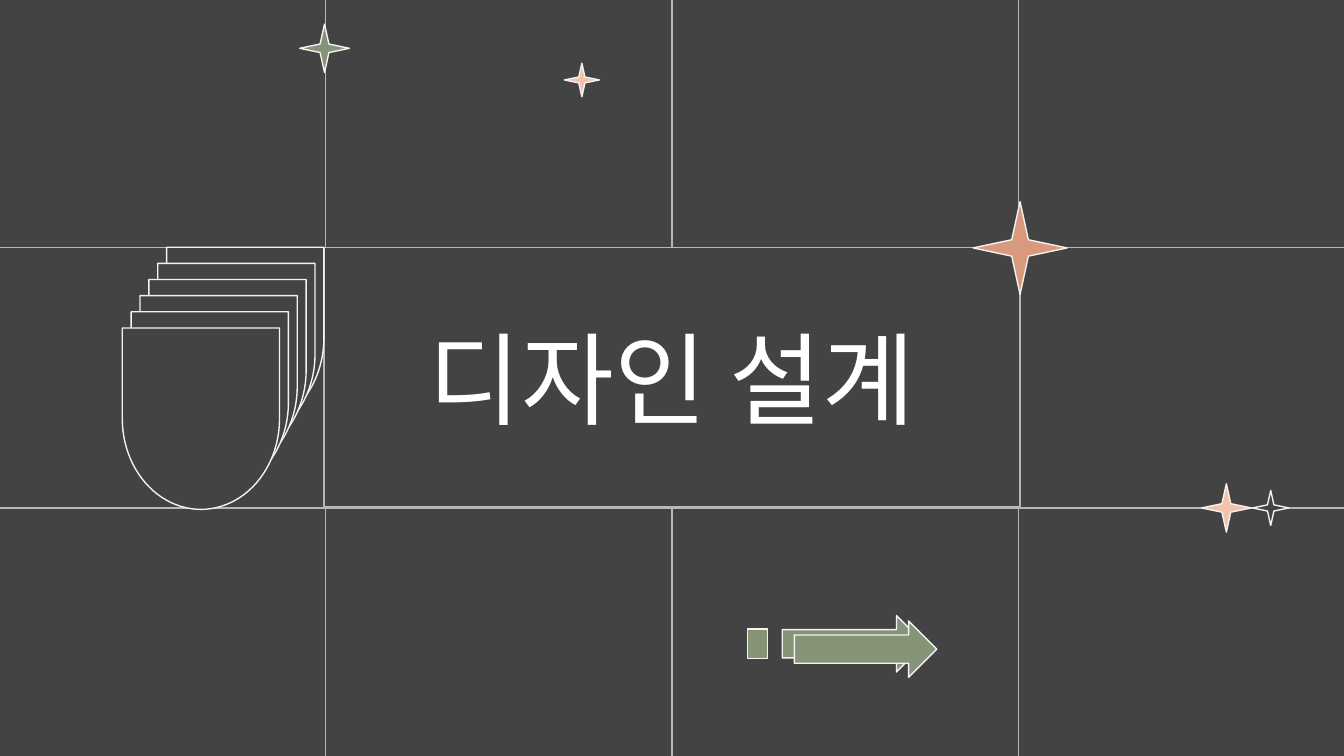
from lxml.etree import SubElement
from pptx import Presentation
from pptx.dml.color import RGBColor
from pptx.enum.shapes import MSO_CONNECTOR, MSO_SHAPE
from pptx.enum.text import MSO_ANCHOR, PP_ALIGN
from pptx.oxml.ns import qn
from pptx.util import Inches, Pt

COLORS = {
    "dark": "434343",
    "grid": "B7B7B7",
    "outline": "F3F3F3",
    "white": "FFFFFF",
    "green": "859477",
    "peach": "F2C2AB",
    "terracotta": "D9997D",
}
FONT = "Noto Sans CJK KR"


class SlideBuilder:
    """Holds the style and the current slide, and draws its elements."""

    def __init__(self, slide):
        self.slide = slide
        self.line_width = Pt(0.75)

    def color(self, name):
        return RGBColor.from_string(COLORS[name])

    def background(self, name):
        fill = self.slide.background.fill
        fill.solid()
        fill.fore_color.rgb = self.color(name)

    def grid_line(self, x1, y1, x2, y2):
        line = self.slide.shapes.add_connector(
            MSO_CONNECTOR.STRAIGHT, Inches(x1), Inches(y1), Inches(x2), Inches(y2))
        line.line.color.rgb = self.color("grid")
        line.line.width = self.line_width
        SubElement(line._element.spPr, qn("a:effectLst"))

    def shape(self, kind, left, top, width, height, fill, outline="outline", rotation=0):
        shape = self.slide.shapes.add_shape(
            kind, Inches(left), Inches(top), Inches(width), Inches(height))
        shape.shadow.inherit = False
        shape.fill.solid()
        shape.fill.fore_color.rgb = self.color(fill)
        shape.line.color.rgb = self.color(outline)
        shape.line.width = self.line_width
        shape.rotation = rotation
        return shape

    def star(self, left, top, width, height, fill):
        star = self.shape(MSO_SHAPE.STAR_4_POINT, left, top, width, height, fill)
        star.adjustments[0] = 0.125

    def title(self, text, left, top, width, height):
        box = self.shape(MSO_SHAPE.RECTANGLE, left, top, width, height, "dark", "grid")
        frame = box.text_frame
        frame.word_wrap = True
        frame.vertical_anchor = MSO_ANCHOR.MIDDLE
        frame.margin_left = frame.margin_right = Inches(0.1)
        frame.margin_top = frame.margin_bottom = Inches(0.1)
        paragraph = frame.paragraphs[0]
        paragraph.alignment = PP_ALIGN.CENTER
        run = paragraph.add_run()
        run.text = text
        run.font.size = Pt(54)
        run.font.name = FONT
        run.font.color.rgb = self.color("white")
        east_asian = SubElement(run._r.get_or_add_rPr(), qn("a:ea"))
        east_asian.set("typeface", FONT)

    def arrow(self, left, top):
        self.shape(MSO_SHAPE.UP_ARROW, left, top, 0.42, 1.06, "green", rotation=90)

    def arch_stack(self, left, top, step_x, step_y, count):
        for index in range(count):
            self.shape(MSO_SHAPE.FLOWCHART_DELAY, left - index * step_x,
                       top + index * step_y, 1.35, 1.17, "dark", rotation=90)


def main():
    presentation = Presentation()
    presentation.slide_width = Inches(10)
    presentation.slide_height = Inches(10) * 9 // 16
    slide = presentation.slides.add_slide(presentation.slide_layouts[6])
    builder = SlideBuilder(slide)

    builder.background("dark")
    for x in (2.42, 5, 7.58):
        builder.grid_line(x, -0.1, x, 5.74)
    for y in (1.84, 3.78):
        builder.grid_line(-0.17, y, 10.16, y)

    builder.star(2.23, 0.18, 0.37, 0.36, "green")
    builder.star(8.94, 3.6, 0.37, 0.36, "peach")
    builder.star(9.32, 3.65, 0.27, 0.26, "dark")
    builder.title("디자인 설계", 2.41, 1.84, 5.18, 1.93)
    builder.star(7.24, 1.5, 0.7, 0.69, "terracotta")

    builder.arrow(6.14, 4.26)
    builder.shape(MSO_SHAPE.RECTANGLE, 5.56, 4.68, 0.15, 0.22, "green")
    builder.arrow(6.23, 4.3)

    builder.arch_stack(1.15, 1.93, 0.066, 0.12, 6)
    builder.star(4.2, 0.47, 0.26, 0.25, "peach")

    presentation.save("out.pptx")


if __name__ == "__main__":
    main()
